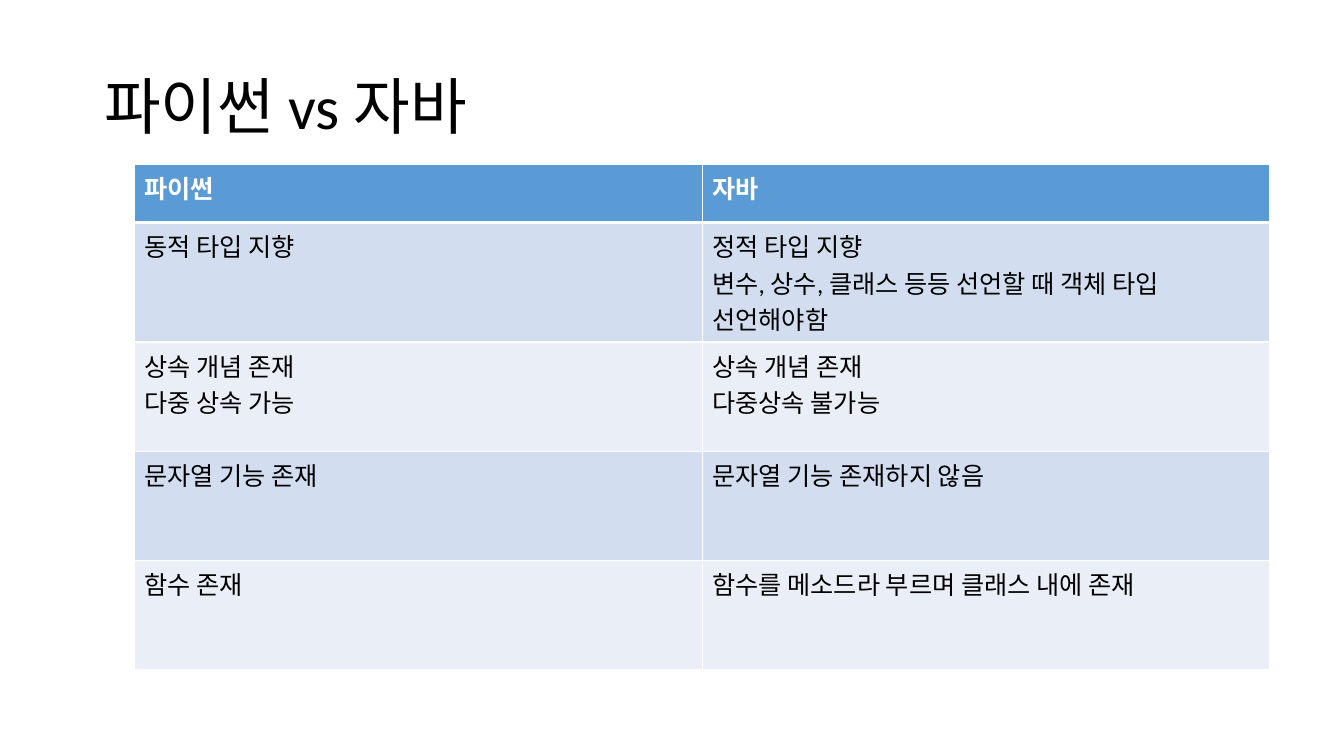
from lxml.etree import SubElement as Sub
from pptx import Presentation
from pptx.dml.color import RGBColor as Rgb
from pptx.enum.text import MSO_ANCHOR as Anchor, PP_ALIGN as Align
from pptx.oxml.ns import qn
from pptx.util import Inches, Pt

WIDE, HIGH = Inches(13.33), Inches(7.5)
FONT = "Calibri"
HUES = {
    "text": "000000",
    "white": "FFFFFF",
    "head": "5B9BD5",
    "odd": "D2DEEF",
    "even": "EAEFF7",
}
TITLE = "파이썬 vs 자바 "
ROWS = [
    ("파이썬", "자바"),
    ("동적 타입 지향",
     "정적 타입 지향\n변수, 상수, 클래스 등등 선언할 때 객체 타입 선언해야함 "),
    ("상속 개념 존재 \n다중 상속 가능 ", "상속 개념 존재\n다중상속 불가능 "),
    ("문자열 기능 존재 ", "문자열 기능 존재하지 않음 "),
    ("함수 존재 ", "함수를 메소드라 부르며 클래스 내에 존재"),
]


def hue(name):
    return Rgb.from_string(HUES[name])


def box(left, top, width, height):
    """Turn shares of the slide into lengths."""
    return (int(WIDE * left), int(HIGH * top),
            int(WIDE * width), int(HIGH * height))


def style(frame, size, color, bold=False):
    for para in frame.paragraphs:
        para.alignment = Align.LEFT
        for run in para.runs:
            font = run.font
            font.name, font.size, font.bold = FONT, Pt(size), bold
            font.color.rgb = hue(color)


def edge(cell, side, width):
    """Draw one white border of a cell."""
    props = cell._tc.get_or_add_tcPr()
    line = Sub(props, qn("a:ln" + side), w=str(Pt(width)))
    fill = Sub(line, qn("a:solidFill"))
    Sub(fill, qn("a:srgbClr"), val=HUES["white"])


def add_title(slide, text, place):
    title = slide.shapes.title
    title.left, title.top, title.width, title.height = place
    frame = title.text_frame
    frame.text = text
    frame.word_wrap = True
    frame.vertical_anchor = Anchor.MIDDLE
    frame.paragraphs[0].line_spacing = 0.9
    style(frame, 44, "text")


def fill_cell(cell, text, row):
    head = row == 0
    # The rule under the header is thicker than the others
    thick = {0: "B", 1: "T"}.get(row)
    for side in "LRTB":
        edge(cell, side, 3 if side == thick else 1)
    cell.fill.solid()
    band = "head" if head else "odd" if row % 2 else "even"
    cell.fill.fore_color.rgb = hue(band)
    cell.text_frame.text = text
    style(cell.text_frame, 18, "white" if head else "text", head)


def add_grid(slide, rows, place, first):
    """Add a table with a header row of height first and equal body rows."""
    count = len(rows)
    table = slide.shapes.add_table(count, len(rows[0]), *place).table
    body = (place[3] - first) // (count - 1)
    for num, texts in enumerate(rows):
        table.rows[num].height = body if num else first
        for col, text in enumerate(texts):
            fill_cell(table.cell(num, col), text, num)


def main():
    deck = Presentation()
    deck.slide_width, deck.slide_height = WIDE, HIGH
    slide = deck.slides.add_slide(deck.slide_layouts[5])

    # Heading
    add_title(slide, TITLE, box(0.07, 0.05, 0.86, 0.19))

    # Comparison of the two languages
    add_grid(slide, ROWS, box(0.1, 0.217, 0.845, 0.656), Inches(0.58))

    deck.save("out.pptx")


main()
